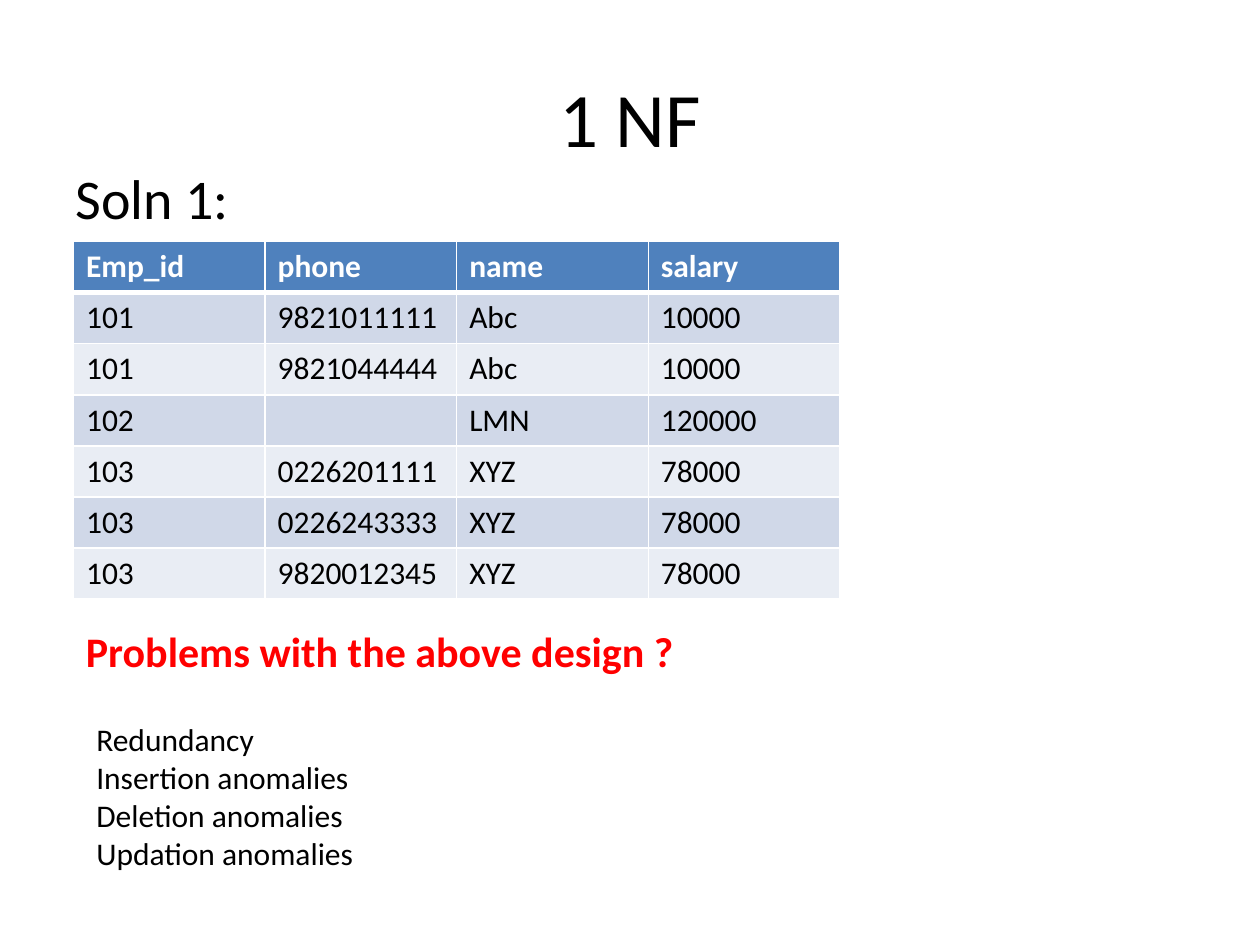
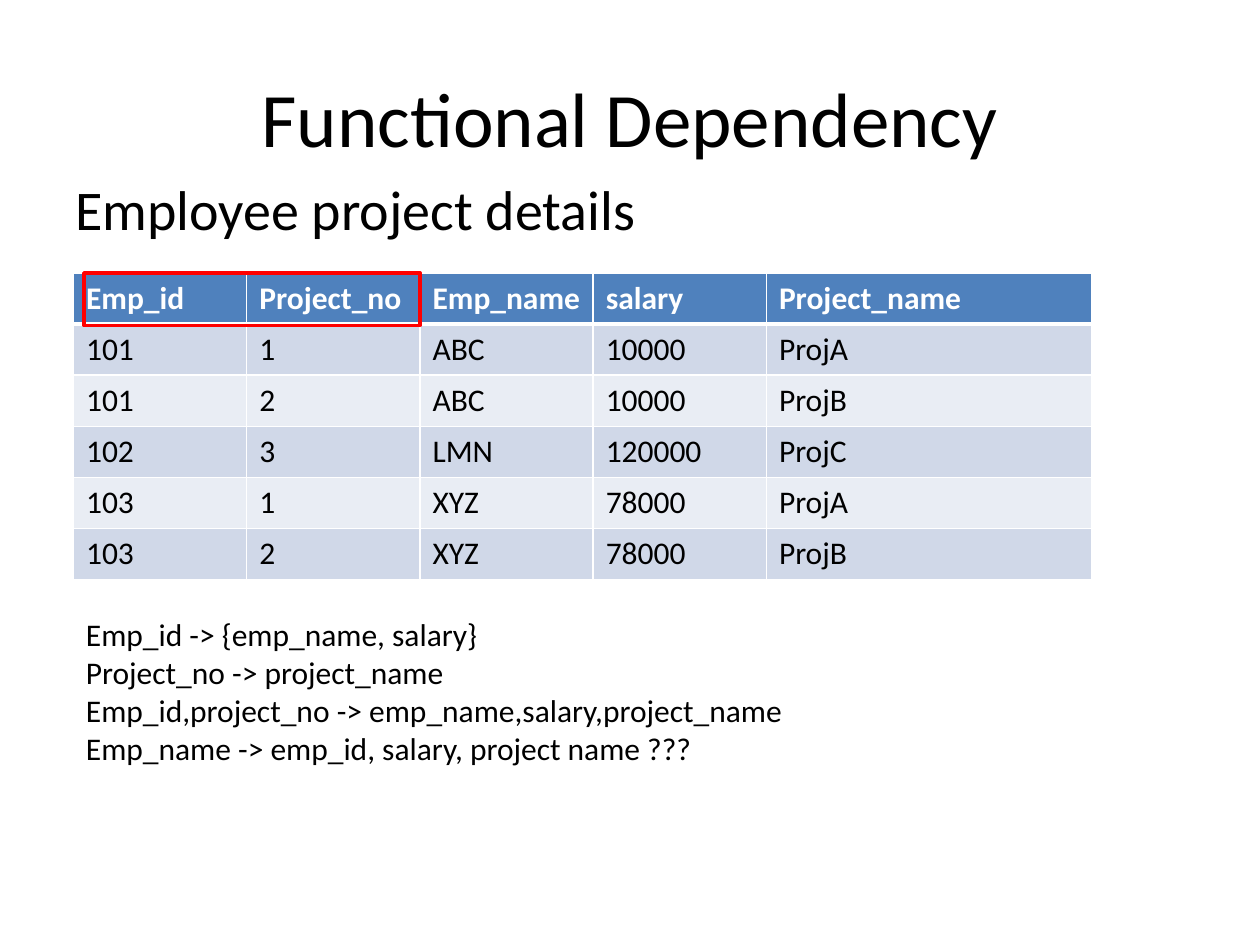
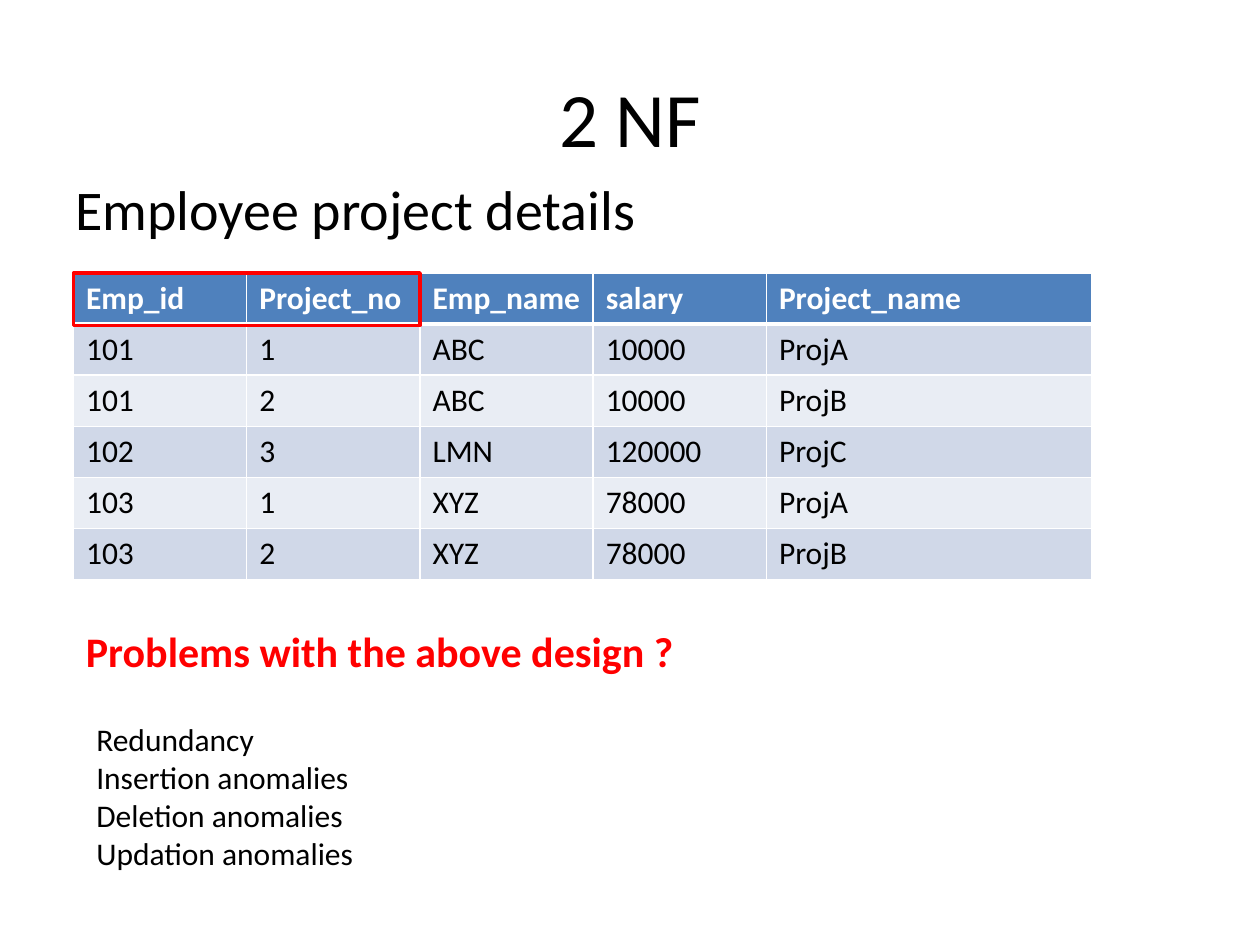
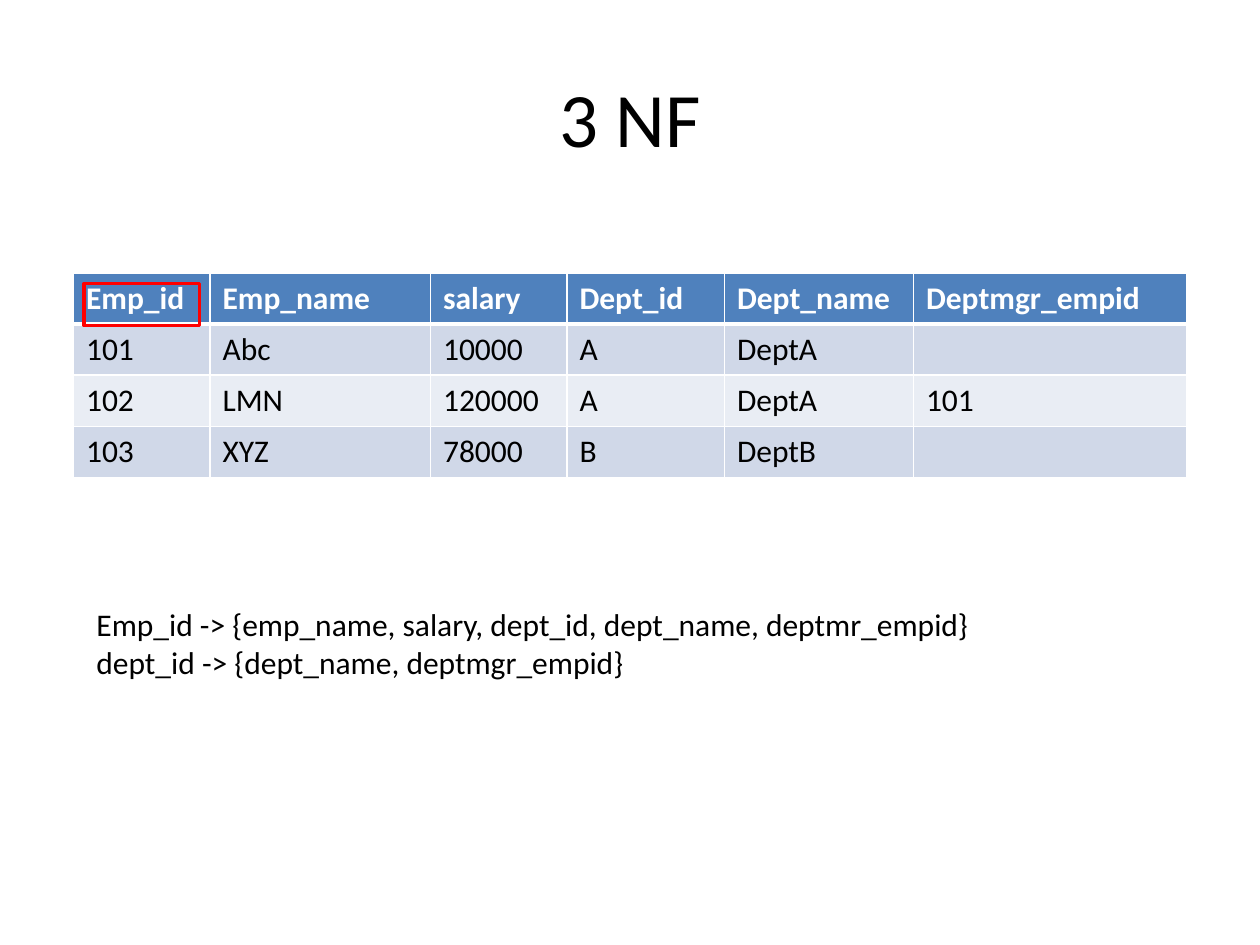
"""Build four slides on functional dependency and normal forms."""
from lxml import etree
from pptx import Presentation
from pptx.dml.color import RGBColor
from pptx.enum.shapes import MSO_SHAPE
from pptx.enum.text import MSO_ANCHOR, MSO_AUTO_SIZE, PP_ALIGN
from pptx.oxml.ns import qn
from pptx.util import Pt

CENTER, LEFT = PP_ALIGN.CENTER, PP_ALIGN.LEFT
MIDDLE, TOP = MSO_ANCHOR.MIDDLE, MSO_ANCHOR.TOP
GROW, FIXED = MSO_AUTO_SIZE.SHAPE_TO_FIT_TEXT, MSO_AUTO_SIZE.NONE
RECTANGLE = MSO_SHAPE.RECTANGLE

FONT = "Calibri"
COLORS = {
    "text": "000000",
    "white": "FFFFFF",
    "alert": "FF0000",
    "header": "4F81BD",
    "band_dark": "D0D8E8",
    "band_light": "E9EDF4",
}
TABLE_LEFT, TABLE_TOP, ROW_HEIGHT = 42, 156, 29.2
THIN, THICK = 1, 3

PHONE_ROWS = [
    ("Emp_id", "phone", "name", "salary"),
    ("101", "9821011111", "Abc", "10000"),
    ("101", "9821044444", "Abc", "10000"),
    ("102", "", "LMN", "120000"),
    ("103", "0226201111", "XYZ", "78000"),
    ("103", "0226243333", "XYZ", "78000"),
    ("103", "9820012345", "XYZ", "78000"),
]
PROJECT_ROWS = [
    ("Emp_id", "Project_no", "Emp_name", "salary", "Project_name"),
    ("101", "1", "ABC", "10000", "ProjA"),
    ("101", "2", "ABC", "10000", "ProjB"),
    ("102", "3", "LMN", "120000", "ProjC"),
    ("103", "1", "XYZ", "78000", "ProjA"),
    ("103", "2", "XYZ", "78000", "ProjB"),
]
DEPARTMENT_ROWS = [
    ("Emp_id", "Emp_name", "salary", "Dept_id", "Dept_name", "Deptmgr_empid"),
    ("101", "Abc", "10000", "A", "DeptA", ""),
    ("102", "LMN", "120000", "A", "DeptA", "101"),
    ("103", "XYZ", "78000", "B", "DeptB", ""),
]
PHONE_WIDTHS = [109.5] * 4
PROJECT_WIDTHS = [99] * 4 + [186]
DEPARTMENT_WIDTHS = [78, 126, 78, 90, 108, 156]


def rgb(name):
    """Return the named colour."""
    return RGBColor.from_string(COLORS[name])


def style_font(font, size, color="text", bold=False):
    """Set typeface, size, colour and weight."""
    font.name, font.size, font.bold = FONT, Pt(size), bold
    font.color.rgb = rgb(color)


def add_text(page, place, lines, size=18, color="text", bold=False,
             align=LEFT, anchor=TOP, wrap=True, fit=GROW):
    """Add a text box with one paragraph for each line."""
    frame = page.shapes.add_textbox(*map(Pt, place)).text_frame
    frame.word_wrap, frame.auto_size = wrap, fit
    frame.vertical_anchor = anchor
    frame.text = "\n".join(lines)
    for para in frame.paragraphs:
        para.alignment = align
        style_font(para.font, size, color, bold)


def add_page(deck, title):
    """Add a blank slide with a centred title."""
    page = deck.slides.add_slide(deck.slide_layouts[6])
    add_text(page, (36, 21.6, 648, 90), [title], size=44,
             align=CENTER, anchor=MIDDLE, fit=FIXED)
    return page


def add_heading(page, text, top):
    """Add the large line above a table."""
    add_text(page, (36, top, 648, 356.4), [text], size=32, fit=FIXED)


def set_borders(cell, top, bottom):
    """Draw white cell borders; top and bottom are line widths."""
    properties = cell._tc.get_or_add_tcPr()
    for side, width in (("L", THIN), ("R", THIN), ("T", top), ("B", bottom)):
        line = etree.SubElement(properties, qn(f"a:ln{side}"), w=str(Pt(width)))
        fill = etree.SubElement(line, qn("a:solidFill"))
        etree.SubElement(fill, qn("a:srgbClr"), val=COLORS["white"])


def add_grid(page, rows, widths, top=TABLE_TOP):
    """Add a table with a header row and banded body rows."""
    place = (TABLE_LEFT, top, sum(widths), ROW_HEIGHT * len(rows))
    table = page.shapes.add_table(len(rows), len(widths), *map(Pt, place)).table
    for column, width in zip(table.columns, widths):
        column.width = Pt(width)
    for index, values in enumerate(rows):
        table.rows[index].height = Pt(ROW_HEIGHT)
        header = index == 0
        band = "header" if header else "band_dark" if index % 2 else "band_light"
        for cell, value in zip(table.rows[index].cells, values):
            cell.text = value
            style_font(cell.text_frame.paragraphs[0].font, 18,
                       "white" if header else "text", header)
            set_borders(cell, THICK if index == 1 else THIN,
                        THICK if header else THIN)
            cell.fill.solid()
            cell.fill.fore_color.rgb = rgb(band)


def add_key_frame(page, *place):
    """Outline the key columns in red."""
    frame = page.shapes.add_shape(RECTANGLE, *map(Pt, place))
    frame.shadow.inherit = False
    frame.fill.background()
    frame.line.color.rgb = rgb("alert")
    frame.line.width = Pt(2)


def add_problems(page):
    """Add the red question and the list of anomalies."""
    add_text(page, (42, 354, 353.5, 36), ["Problems with the above design ?"],
             size=24, color="alert", bold=True, wrap=False)
    add_text(page, (48, 408, 402, 94.5),
             ["Redundancy", "Insertion anomalies",
              "Deletion anomalies", "Updation anomalies"])


def add_project_details(page):
    """Add the employee project heading and table."""
    add_heading(page, "Employee project details", 96)
    add_grid(page, PROJECT_ROWS, PROJECT_WIDTHS)


def main():
    """Build and save the deck."""
    deck = Presentation()
    deck.slide_width, deck.slide_height = Pt(720), Pt(540)

    page = add_page(deck, "1 NF")
    add_heading(page, "Soln 1:", 90)
    add_grid(page, PHONE_ROWS, PHONE_WIDTHS, top=138)
    add_problems(page)

    page = add_page(deck, "Functional Dependency")
    add_project_details(page)
    add_text(page, (42, 348, 600, 94.5),
             ["Emp_id -> {emp_name, salary}",
              "Project_no -> project_name",
              "Emp_id,project_no -> emp_name,salary,project_name",
              "Emp_name -> emp_id, salary, project name ???"])
    add_key_frame(page, 48, TABLE_TOP, 192, 30)

    page = add_page(deck, "2 NF")
    add_project_details(page)
    add_key_frame(page, TABLE_LEFT, TABLE_TOP, 198, 30)
    add_problems(page)

    page = add_page(deck, "3 NF")
    add_grid(page, DEPARTMENT_ROWS, DEPARTMENT_WIDTHS)
    add_text(page, (48, 342, 624, 51),
             ["Emp_id -> {emp_name, salary, dept_id, dept_name, deptmr_empid}\v"
              "dept_id -> {dept_name, deptmgr_empid}"])
    add_key_frame(page, 48, 162, 66, 24)

    deck.save("out.pptx")


main()
